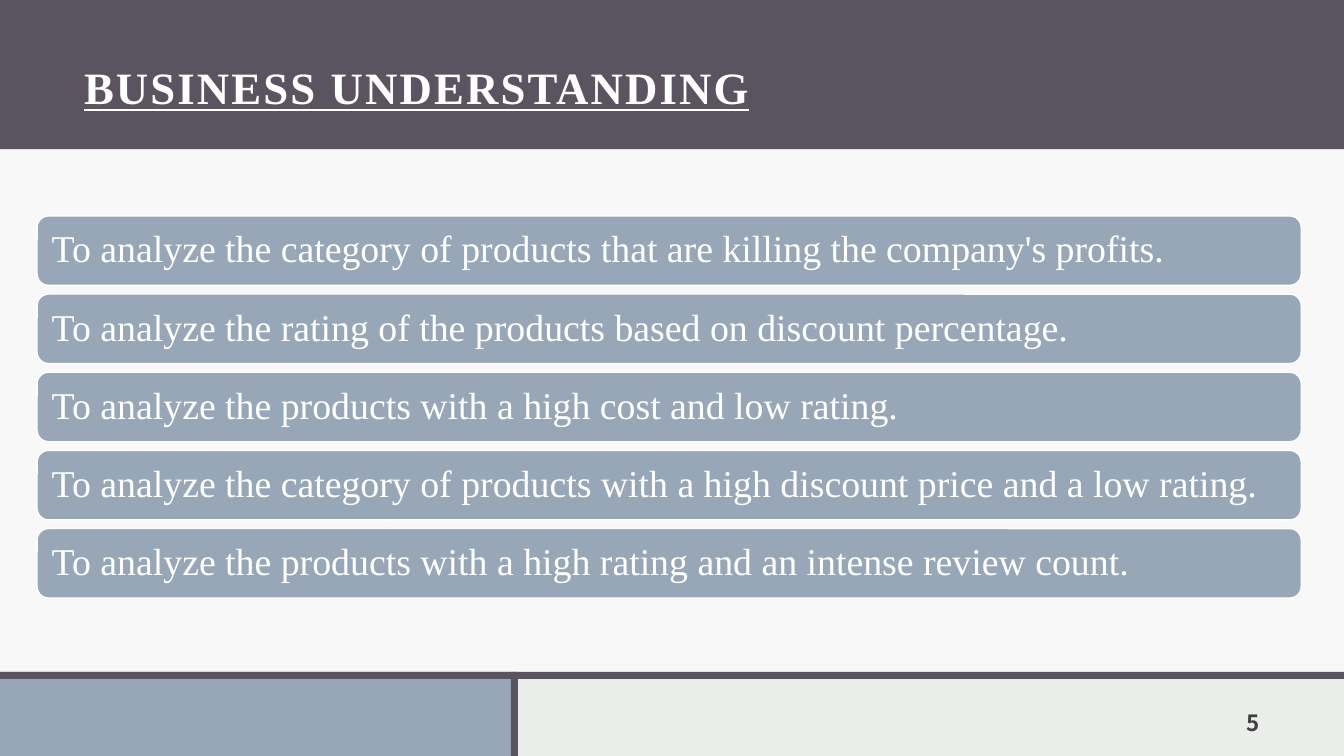
from dataclasses import dataclass
from pptx import Presentation
from pptx.dml.color import RGBColor
from pptx.enum.shapes import MSO_SHAPE
from pptx.enum.text import MSO_ANCHOR, MSO_AUTO_SIZE, PP_ALIGN
from pptx.util import Pt


@dataclass(frozen=True)
class Theme:
    dark: str = "595460"
    blue: str = "97A7B8"
    pale: str = "F7F8F7"
    base: str = "EBEDEB"
    white: str = "FFFFFF"
    grey: str = "404040"
    serif: str = "Times New Roman"
    sans: str = "Noto Sans CJK JP"
    head: int = 32
    body: int = 27
    small: int = 16


theme = Theme()
WIDE, HIGH = 960, 540
GOALS = [
    "To analyze the category of products that are killing the company's profits.",
    "To analyze the rating of the products based on discount percentage.",
    "To analyze the products with a high cost and low rating.",
    "To analyze the category of products with a high discount price and a low rating.",
    "To analyze the products with a high rating and an intense\u00a0review\u00a0count.",
]


def paint(fill, color):
    fill.solid()
    fill.fore_color.rgb = RGBColor.from_string(color)


def block(slide, kind, box, color):
    shape = slide.shapes.add_shape(kind, *map(Pt, box))
    shape.shadow.inherit = False
    paint(shape.fill, color)
    shape.line.fill.background()
    return shape


def write(shape, text, size, face, color, pads, anchor, align=PP_ALIGN.LEFT, bold=False, track=0):
    frame = shape.text_frame
    frame.word_wrap = True
    frame.auto_size = MSO_AUTO_SIZE.NONE
    frame.vertical_anchor = anchor
    frame.margin_left, frame.margin_top, frame.margin_right, frame.margin_bottom = map(Pt, pads)
    para = frame.paragraphs[0]
    para.text = text
    para.alignment = align
    font = para.font
    font.size, font.name, font.bold = Pt(size), face, bold
    font.color.rgb = RGBColor.from_string(color)
    if track:
        para.runs[0].font._element.set("spc", str(track))
    return para


def header(slide, box, text):
    left, top, width, height = box
    block(slide, MSO_SHAPE.RECTANGLE, box, theme.dark)
    title = slide.shapes.title
    title.left, title.top = Pt(left + 51), Pt(top + 14.5)
    title.width, title.height = Pt(width - 102), Pt(height - 32.5)
    para = write(title, text, theme.head, theme.serif, theme.white,
                 (9, 9, 9, 7), MSO_ANCHOR.MIDDLE, bold=True, track=150)
    para.font.underline = True
    para.line_spacing = 1.5
    slide.shapes._spTree.append(title._element)


def cards(slide, box, goals, gap=6.2):
    left, top, width, height = box
    tall = (height - gap * (len(goals) - 1)) / len(goals)
    for row, goal in enumerate(goals):
        spot = left, top + row * (tall + gap), width, tall
        card = block(slide, MSO_SHAPE.ROUNDED_RECTANGLE, spot, theme.blue)
        paint(card.line.fill, theme.white)
        card.line.width = Pt(1)
        para = write(card, goal, theme.body, theme.serif, theme.white,
                     (8, 8, 8, 8), MSO_ANCHOR.MIDDLE)
        para.line_spacing = 0.9


def footer(slide, box, number, split=365, rule=5):
    left, top, width, height = box
    block(slide, MSO_SHAPE.RECTANGLE, (left, top, split, height), theme.blue)
    block(slide, MSO_SHAPE.RECTANGLE, (left, top, width, rule), theme.dark)
    block(slide, MSO_SHAPE.RECTANGLE, (left + split, top, rule, height), theme.dark)
    spot = left + width - 128, top + 16.5, 77, 36
    label = slide.shapes.add_textbox(*map(Pt, spot))
    write(label, number, theme.small, theme.sans, theme.grey,
          (9, 9, 9, 7), MSO_ANCHOR.BOTTOM, PP_ALIGN.RIGHT, True, 150)


def main():
    deck = Presentation()
    deck.slide_width, deck.slide_height = Pt(WIDE), Pt(HIGH)
    slide = deck.slides.add_slide(deck.slide_layouts[5])
    paint(slide.background.fill, theme.base)
    block(slide, MSO_SHAPE.RECTANGLE, (0, 106.5, WIDE, 373.5), theme.pale)
    header(slide, (0, 0, WIDE, 106.5), "BUSINESS UNDERSTANDING")
    cards(slide, (26.5, 154.2, 903, 273), GOALS)
    footer(slide, (0, 480, WIDE, 60), "5")
    deck.save("out.pptx")


if __name__ == "__main__":
    main()
